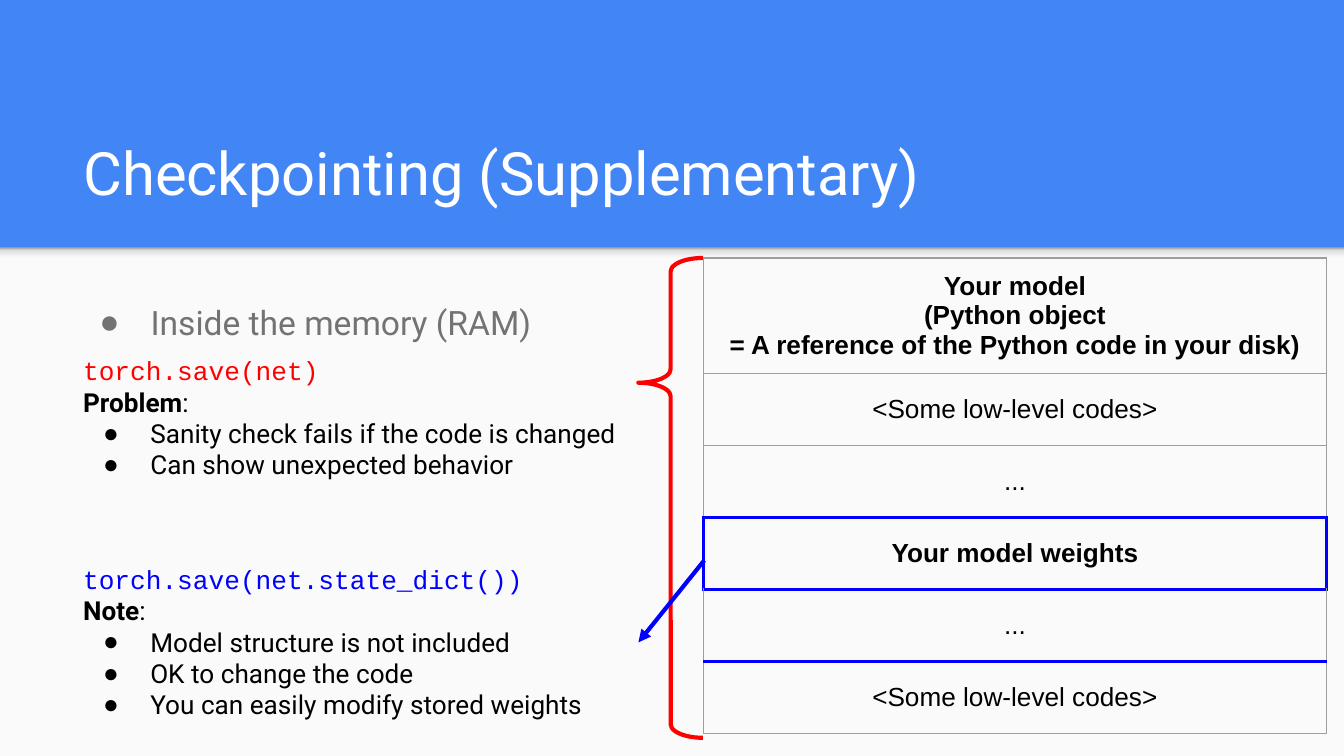
from lxml import etree
from pptx import Presentation
from pptx.dml.color import RGBColor
from pptx.enum.shapes import MSO_CONNECTOR, MSO_SHAPE
from pptx.enum.text import MSO_ANCHOR, MSO_AUTO_SIZE, PP_ALIGN
from pptx.oxml.ns import qn
from pptx.util import Inches, Pt

LEFT, CENTER, JUSTIFY = PP_ALIGN.LEFT, PP_ALIGN.CENTER, PP_ALIGN.JUSTIFY
TOP, MIDDLE, BOTTOM = MSO_ANCHOR.TOP, MSO_ANCHOR.MIDDLE, MSO_ANCHOR.BOTTOM
RECT, BRACE = MSO_SHAPE.RECTANGLE, MSO_SHAPE.LEFT_BRACE
STRAIGHT = MSO_CONNECTOR.STRAIGHT
NO_FIT = MSO_AUTO_SIZE.NONE

WIDE = Inches(10)
HIGH = WIDE * 9 // 16
UNIT = WIDE / 100  # the grid has 100 columns of square cells
BLUE, RED, GRAY, BLACK = "0000FF", "FF0000", "9E9E9E", "000000"
SIDES = ("L", "R", "T", "B")

MEMORY = [
    ("Your model\v(Python object\v= A reference of the Python code in your disk)", True),
    ("<Some low-level codes>", False),
    ("...", False),
    ("Your model weights", True),
    ("...", False),
    ("<Some low-level codes>", False),
]
WEIGHTS = 3
BLUE_RULES = (3, 4, 5)  # horizontal rules, counted from the table's top


def grid(*cells):
    return [round(cell * UNIT) for cell in cells]


def color(code):
    return RGBColor.from_string(code)


def node(parent, tag, **attrs):
    return etree.SubElement(parent, qn(tag), attrs)


def style(font, name, size, code, bold=False):
    font.name, font.size, font.bold = name, Pt(size), bold
    font.color.rgb = color(code)


def bullet(para, code, indent):
    """Hang a round bullet; call before the paragraph's font is set."""
    props = para._p.get_or_add_pPr()
    props.set("marL", str(Inches(0.5)))
    props.set("indent", str(-Inches(indent)))
    node(node(props, "a:buClr"), "a:srgbClr", val=code)
    node(props, "a:buFont", typeface="Arial")
    node(props, "a:buChar", char="●")


def frame(shape, anchor):
    text = shape.text_frame
    text.word_wrap, text.auto_size = True, NO_FIT
    text.vertical_anchor = anchor
    text.margin_left = text.margin_right = Inches(0.1)
    text.margin_top = text.margin_bottom = Inches(0.1)
    return text


def fill_holder(holder, place, anchor, text):
    holder.left, holder.top, holder.width, holder.height = grid(*place)
    para = frame(holder, anchor).paragraphs[0]
    para.text, para.alignment = text, LEFT
    para.space_before = Pt(0)
    return para


def add_panel(slide, place):
    panel = slide.shapes.add_shape(RECT, *grid(*place))
    panel.shadow.inherit = False
    panel.line.fill.background()
    slide.shapes.title.element.addprevious(panel.element)
    return panel


def fade(shape, stops):
    """Blend the stops from the bottom edge to the top edge."""
    shape.fill.gradient()
    shape.fill.gradient_angle = 90
    ramp = next(shape.element.iter(qn("a:gsLst")))
    for stop in list(ramp):
        ramp.remove(stop)
    for share, code in stops:
        stop = node(ramp, "a:gs", pos=str(share * 1000))
        node(stop, "a:srgbClr", val=code)


def add_note(slide, place, code, tint, head, items):
    box = slide.shapes.add_textbox(*grid(*place))
    text = frame(box, MIDDLE)
    lead = text.paragraphs[0]
    lead.alignment = JUSTIFY
    call = lead.add_run()
    call.text = code
    style(call.font, "Courier New", 14, tint)
    lead.add_line_break()
    for word, bold in ((head, True), (":", False)):
        run = lead.add_run()
        run.text = word
        style(run.font, "Roboto", 14, BLACK, bold)
    for item in items:
        para = text.add_paragraph()
        para.text, para.alignment = item, JUSTIFY
        bullet(para, BLACK, 0.35)
        style(para.font, "Roboto", 14, BLACK)


def edge(cell, index, side, strong):
    width, code = (2.25, BLUE) if strong else (0.75, GRAY)
    line = etree.Element(qn("a:ln" + side), w=str(Pt(width)))
    node(node(line, "a:solidFill"), "a:srgbClr", val=code)
    cell._tc.get_or_add_tcPr().insert(index, line)


def add_memory(slide, place, first):
    left, top, width, height = grid(*place)
    table = slide.shapes.add_table(len(MEMORY), 1, left, top, width, height).table
    table.first_row = table.horz_banding = False
    tall = grid(first)[0]
    rest = (height - tall) // (len(MEMORY) - 1)
    for row, (words, bold) in enumerate(MEMORY):
        table.rows[row].height = rest if row else tall
        cell = table.cell(row, 0)
        cell.fill.background()
        cell.vertical_anchor = MIDDLE
        cell.margin_left = cell.margin_right = Inches(0.1)
        cell.margin_top = cell.margin_bottom = Inches(0.1)
        para = cell.text_frame.paragraphs[0]
        para.text, para.alignment = words, CENTER
        style(para.font, "Arial", 14, BLACK, bold)
        side = row == WEIGHTS
        strong = (side, side, row in BLUE_RULES, row + 1 in BLUE_RULES)
        for index, name in enumerate(SIDES):
            edge(cell, index, name, strong[index])


def add_brace(slide, place):
    brace = slide.shapes.add_shape(BRACE, *grid(*place))
    brace.shadow.inherit = False
    brace.fill.background()
    brace.line.color.rgb, brace.line.width = color(RED), Pt(2.25)
    brace.adjustments[0], brace.adjustments[1] = 0.21, 0.26


def add_arrow(slide, ends):
    arrow = slide.shapes.add_connector(STRAIGHT, *grid(*ends))
    arrow.line.color.rgb, arrow.line.width = color(BLUE), Pt(2.25)
    node(arrow.line._get_or_add_ln(), "a:tailEnd", type="triangle")
    node(arrow.element.spPr, "a:effectLst")


def main():
    deck = Presentation()
    deck.slide_width, deck.slide_height = WIDE, HIGH
    slide = deck.slides.add_slide(deck.slide_layouts[1])
    slide.background.fill.solid()
    slide.background.fill.fore_color.rgb = color("4285F4")

    page = add_panel(slide, (0, 18.4, 100, 37.85))
    page.fill.solid()
    page.fill.fore_color.rgb = color("FAFAFA")
    shade = add_panel(slide, (0, 18.4, 100, 1.2))
    fade(shade, [(0, "F9F9F9"), (36, "F9F9F9"), (80, "DEDEDE"), (100, "999999")])

    title = fill_holder(slide.shapes.title, (5.2, 8.05, 89.9, 8.4), BOTTOM,
                        "Checkpointing (Supplementary)")
    style(title.font, "Roboto", 32, "FFFFFF")
    topic = fill_holder(slide.placeholders[1], (5.2, 21, 89.9, 29.6), TOP,
                        "Inside the memory (RAM)")
    topic.line_spacing = 1.15
    bullet(topic, "737373", 0.38)
    style(topic.font, "Roboto", 18, "737373")

    add_memory(slide, (52.35, 19.2, 46.35, 35.4), 8.6)
    add_brace(slide, (47.5, 19.2, 4.8, 35.7))
    add_note(slide, (5.2, 25.5, 42.3, 11.1), "torch.save(net)", RED, "Problem",
             ["Sanity check fails if the code is changed",
              "Can show unexpected behavior"])
    add_arrow(slide, (52.4, 41.7, 47.5, 47.8))
    add_note(slide, (5.2, 41.1, 42.3, 13.3), "torch.save(net.state_dict())", BLUE, "Note",
             ["Model structure is not included",
              "OK to change the code",
              "You can easily modify stored weights"])
    deck.save("out.pptx")


if __name__ == "__main__":
    main()
